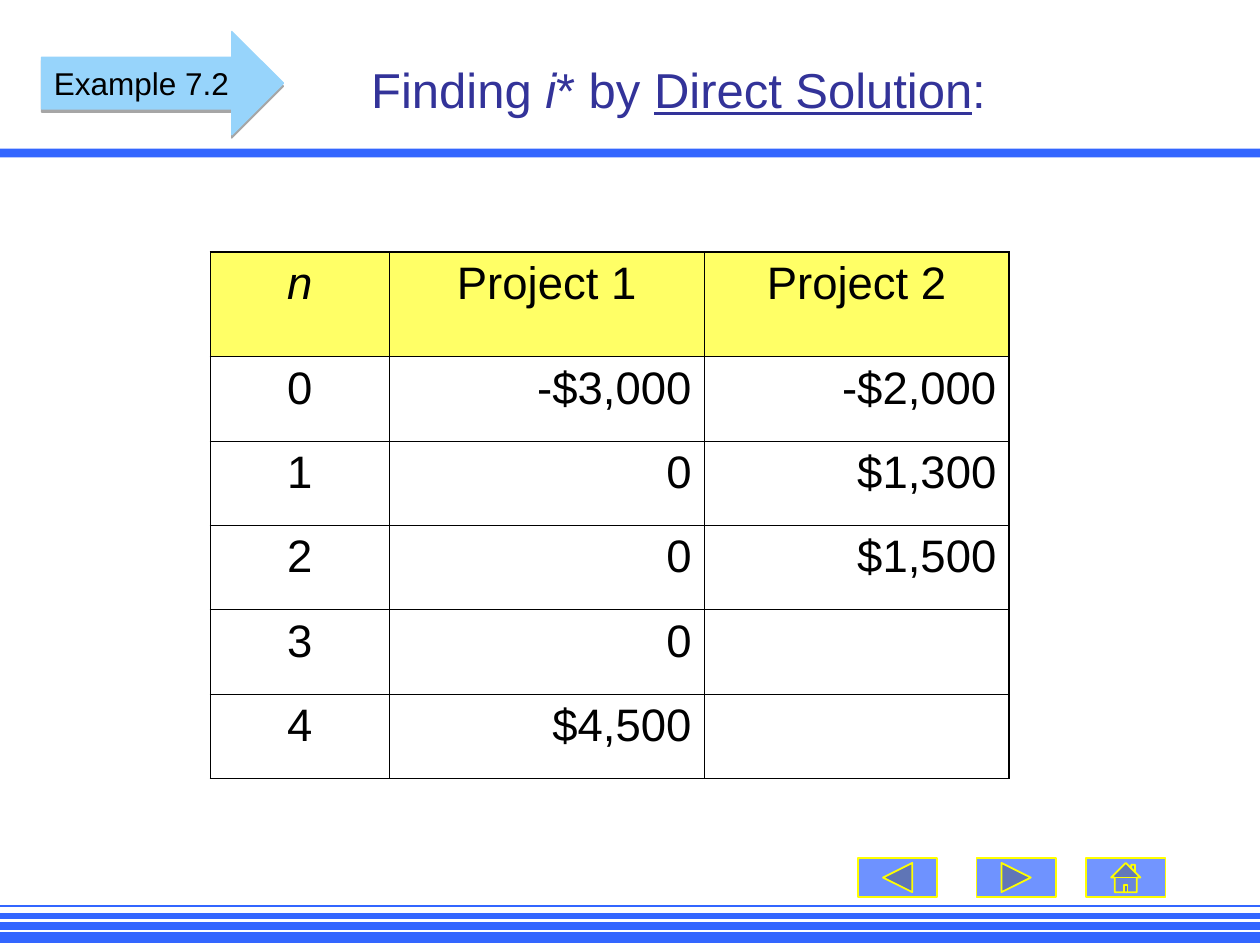
from lxml import etree
from pptx import Presentation
from pptx.dml.color import RGBColor
from pptx.enum.shapes import MSO_CONNECTOR, MSO_SHAPE
from pptx.enum.text import MSO_ANCHOR, PP_ALIGN
from pptx.oxml.ns import qn
from pptx.util import Inches, Pt

LINE = MSO_CONNECTOR.STRAIGHT
RECT, ARROW = MSO_SHAPE.RECTANGLE, MSO_SHAPE.RIGHT_ARROW
BACK = MSO_SHAPE.ACTION_BUTTON_BACK_OR_PREVIOUS
NEXT = MSO_SHAPE.ACTION_BUTTON_FORWARD_OR_NEXT
HOME = MSO_SHAPE.ACTION_BUTTON_HOME
LEFT, MID, RIGHT = PP_ALIGN.LEFT, PP_ALIGN.CENTER, PP_ALIGN.RIGHT
CENTER = MSO_ANCHOR.MIDDLE

BLUE = RGBColor(0x33, 0x66, 0xFF)
NAVY = RGBColor(0x33, 0x33, 0x99)
SKY = RGBColor(0x97, 0xD4, 0xFB)
YELLOW = RGBColor(0xFF, 0xFF, 0x00)
LEMON = RGBColor(0xFF, 0xFF, 0x66)
BLACK = RGBColor(0, 0, 0)

WIDE, HIGH = 10, 7.5
TITLE = [("Finding ", False, False), ("i", True, False), ("* by ", False, False),
         ("Direct Solution", False, True), (":", False, False)]
LABEL = "Example 7.2"
ROWS = [
    ("n", "Project 1", "Project 2"),
    ("0", "-$3,000", "-$2,000"),
    ("1", "0", "$1,300"),
    ("2", "0", "$1,500"),
    ("3", "0", ""),
    ("4", "$4,500", ""),
]
COLS = (1.42, 2.5, 2.42)
HEAD, BODY = 0.83, 0.67
STRIPES = [(7.19, 1.5), (7.27, 3), (7.35, 4.5), (7.44, 6)]
BUTTONS = [(BACK, 6.81, 71), (NEXT, 7.75, 70), (HOME, 8.62, 69)]


def box(*sizes):
    return [Inches(size) for size in sizes]


def style(para, size, color, align):
    para.alignment = align
    para.font.name, para.font.size = "Arial", Pt(size)
    para.font.color.rgb = color


def add_form(slide, kind, place, fill):
    form = slide.shapes.add_shape(kind, *box(*place))
    form.shadow.inherit = False
    form.fill.solid()
    form.fill.fore_color.rgb = fill
    form.line.fill.background()
    return form


def add_stripe(slide, top, width):
    stripe = slide.shapes.add_connector(LINE, *box(0, top, WIDE, top))
    stripe.line.color.rgb, stripe.line.width = BLUE, Pt(width)
    etree.SubElement(stripe._element.spPr, qn("a:effectLst"))


def add_button(slide, kind, left, alpha):
    button = add_form(slide, kind, (left, 6.81, 0.63, 0.31), BLUE)
    button.line.color.rgb, button.line.width = YELLOW, Pt(1)
    color = button._element.spPr.find(qn("a:solidFill"))[0]
    etree.SubElement(color, qn("a:alpha"), val=str(alpha * 1000))


def add_title(slide):
    title = slide.shapes.title
    title.left, title.top, title.width, title.height = box(0.3, 0.08, 9, 1.25)
    frame = title.text_frame
    frame.margin_left, frame.vertical_anchor = Inches(1.27), CENTER
    para = frame.paragraphs[0]
    for text, slant, under in TITLE:
        run = para.add_run()
        run.text = text
        run.font.italic, run.font.underline = slant, under
    style(para, 28, NAVY, MID)


def add_edges(cell, outer):
    props = cell._tc.get_or_add_tcPr()
    for side in "LRTB":
        width = 1.08 if side in outer else 0.45
        edge = etree.SubElement(props, qn("a:ln" + side), w=str(Pt(width)))
        fill = etree.SubElement(edge, qn("a:solidFill"))
        etree.SubElement(fill, qn("a:srgbClr"), val=str(BLACK))


def add_grid(slide):
    last, end = len(ROWS) - 1, len(COLS) - 1
    high = HEAD + BODY * last
    frame = slide.shapes.add_table(len(ROWS), len(COLS), *box(1.67, 2, sum(COLS), high))
    table = frame.table
    table.first_row = table.horz_banding = False
    for col, width in zip(table.columns, COLS):
        col.width = Inches(width)
    for r, row in enumerate(ROWS):
        table.rows[r].height = Inches(BODY if r else HEAD)
        for c, text in enumerate(row):
            cell = table.cell(r, c)
            sides = {"T": r == 0, "B": r == last, "L": c == 0, "R": c == end}
            add_edges(cell, [side for side, outer in sides.items() if outer])
            if r:
                cell.fill.background()
            else:
                cell.fill.solid()
                cell.fill.fore_color.rgb = LEMON
            cell.text = text
            para = cell.text_frame.paragraphs[0]
            style(para, 26, BLACK, RIGHT if r and c else MID)
            para.font.italic = (r, c) == (0, 0)


def add_tag(slide):
    arrow = add_form(slide, ARROW, (0.33, 0.25, 1.92, 0.82), SKY)
    arrow.line.color.rgb, arrow.line.width = SKY, Pt(0.75)
    effects = arrow._element.spPr.find(qn("a:effectLst"))
    shade = etree.SubElement(effects, qn("a:outerShdw"), blurRad="0",
                             dist=str(Pt(1.8)), dir="5400000", rotWithShape="0")
    color = etree.SubElement(shade, qn("a:srgbClr"), val=str(BLACK))
    etree.SubElement(color, qn("a:alpha"), val="35000")
    label = slide.shapes.add_textbox(*box(0.33, 0.46, 1.83, 0.4)).text_frame
    label.word_wrap = True
    label.text = LABEL
    style(label.paragraphs[0], 18, BLACK, LEFT)


def main():
    """Build the slide and save it."""
    deck = Presentation()
    deck.slide_width, deck.slide_height = box(WIDE, HIGH)
    slide = deck.slides.add_slide(deck.slide_layouts[5])
    add_form(slide, RECT, (0, 1.18, WIDE, 0.07), BLUE)
    for stripe in STRIPES:
        add_stripe(slide, *stripe)
    for button in BUTTONS:
        add_button(slide, *button)
    add_title(slide)
    add_grid(slide)
    add_tag(slide)
    deck.save("out.pptx")


if __name__ == "__main__":
    main()
